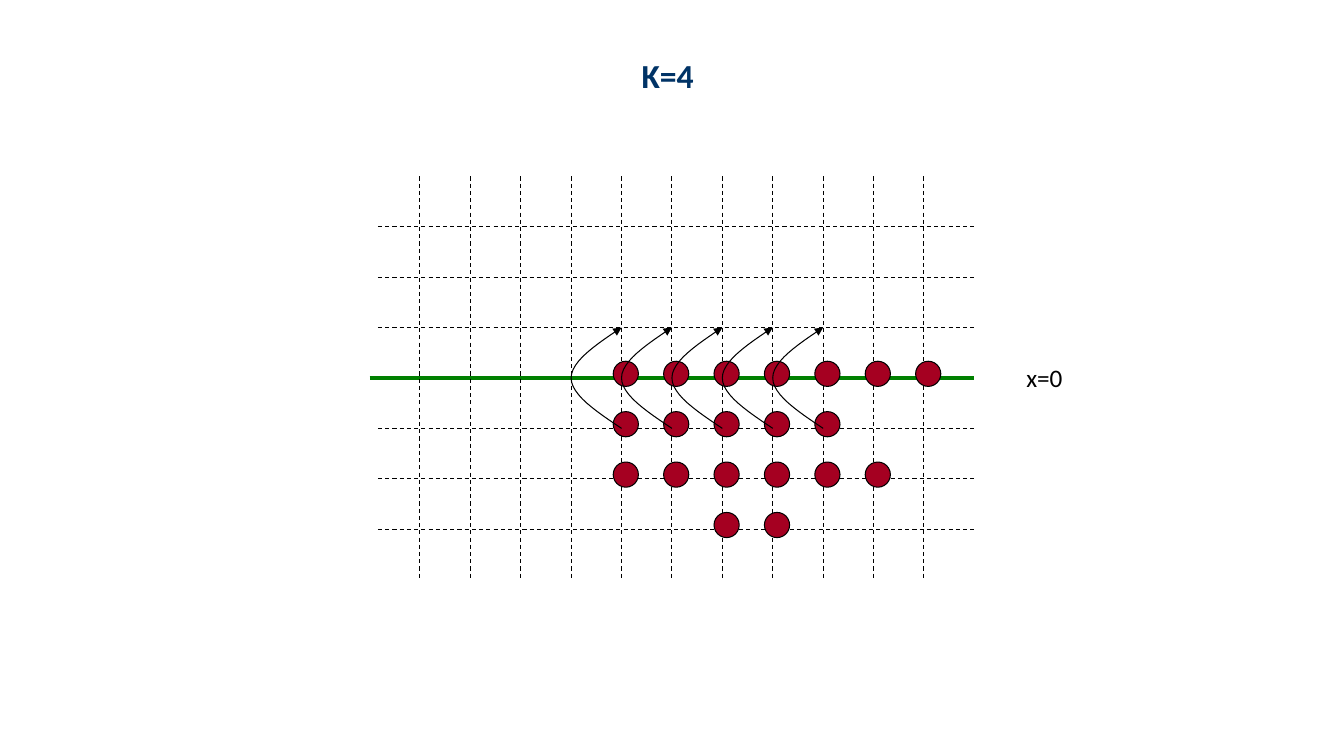
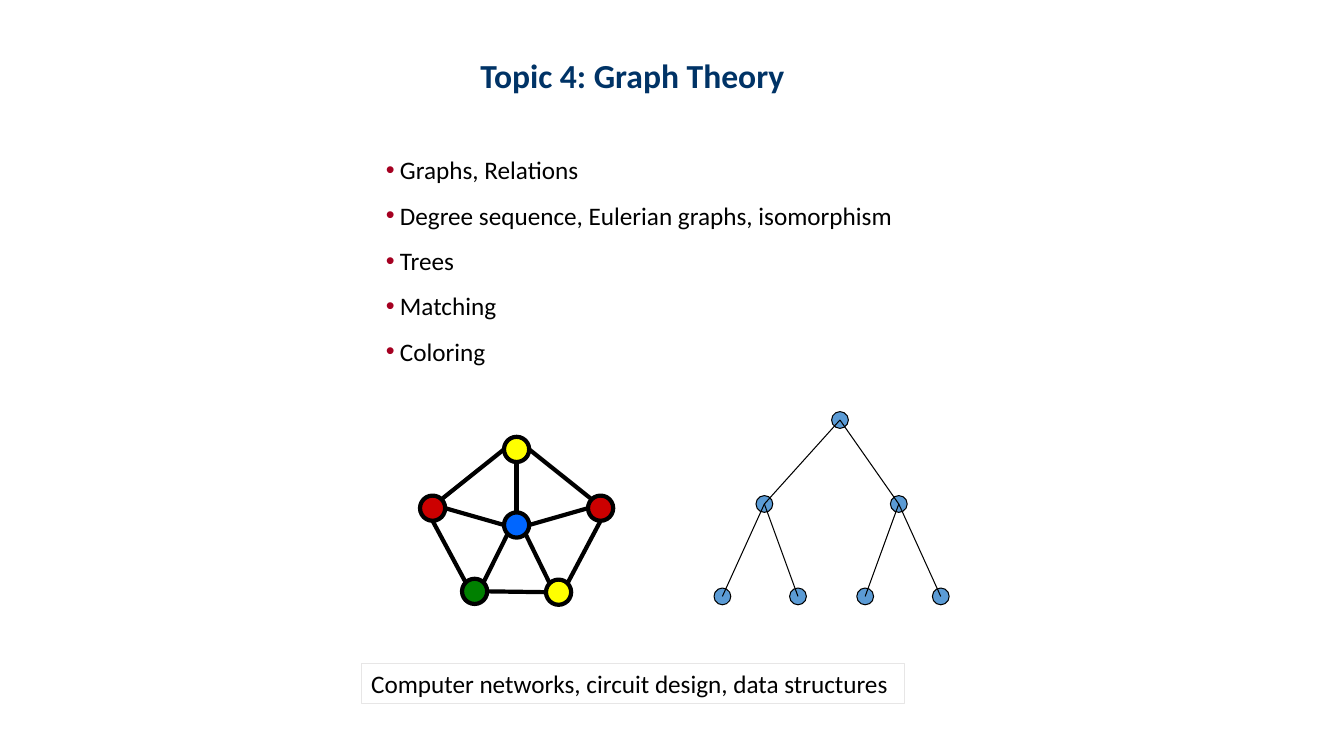
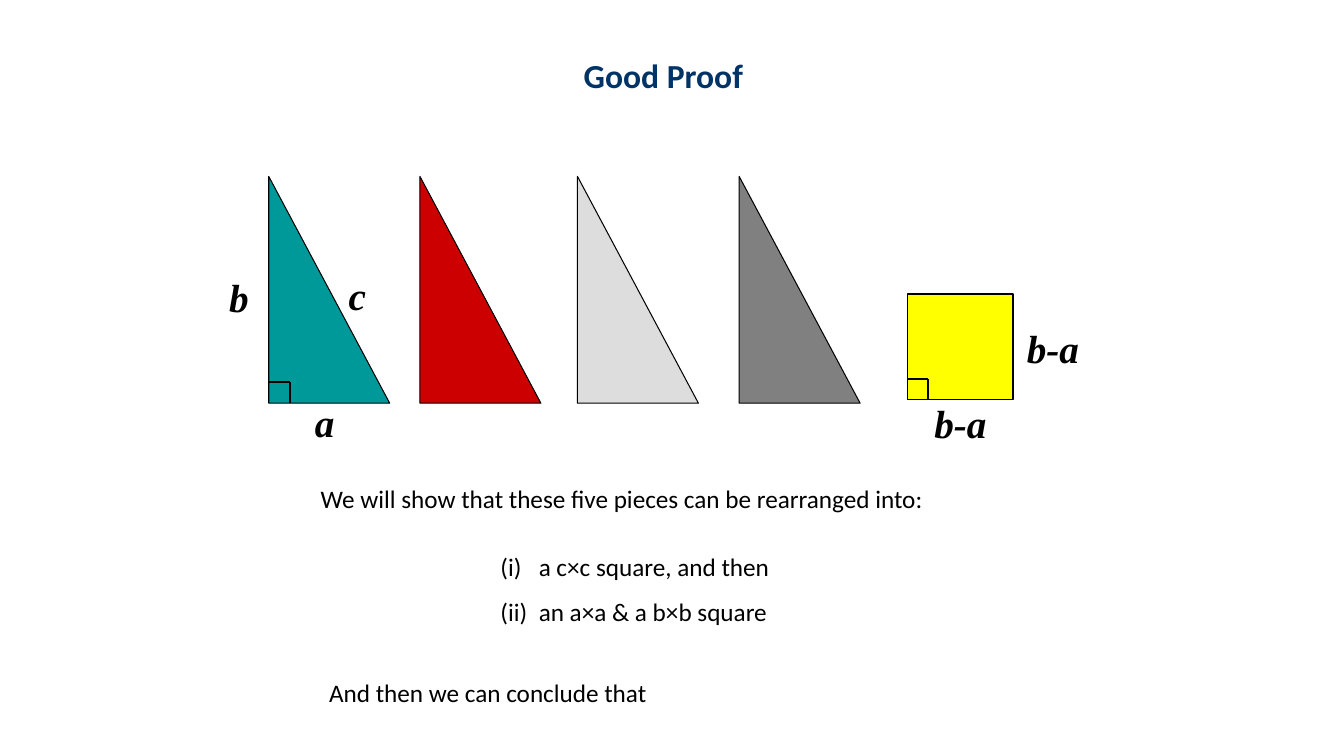
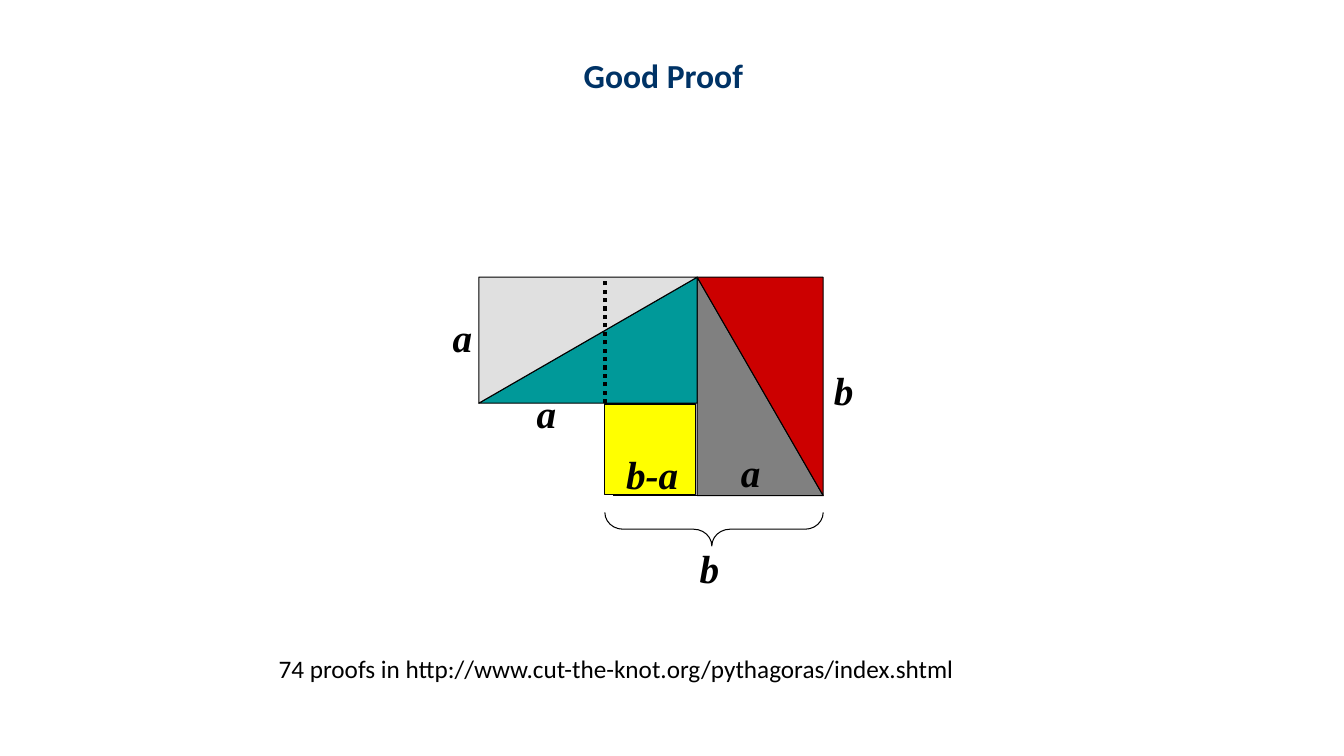
from itertools import pairwise, product
from math import cos, pi, sin

from lxml.etree import SubElement
from pptx import Presentation
from pptx.dml.color import RGBColor
from pptx.enum.dml import MSO_LINE_DASH_STYLE as DASH
from pptx.enum.shapes import MSO_CONNECTOR as CONN, MSO_SHAPE as SHAPE
from pptx.enum.text import MSO_AUTO_SIZE as AUTO, PP_ALIGN as ALIGN
from pptx.oxml.ns import qn
from pptx.util import Inches, Pt

COLS, ROWS, CELL = 160, 90, 1 / 12

BLACK = RGBColor(0x00, 0x00, 0x00)
NAVY = RGBColor(0x00, 0x33, 0x66)
CRIMSON = RGBColor(0xA5, 0x00, 0x21)
GREEN = RGBColor(0x00, 0x80, 0x00)
RED = RGBColor(0xCC, 0x00, 0x00)
YELLOW = RGBColor(0xFF, 0xFF, 0x00)
BLUE = RGBColor(0x00, 0x66, 0xFF)
SKY = RGBColor(0x5B, 0x9B, 0xD5)
TEAL = RGBColor(0x00, 0x99, 0x99)
SILVER = RGBColor(0xDD, 0xDD, 0xDD)
GRAY = RGBColor(0x80, 0x80, 0x80)
PALE = RGBColor(0xE7, 0xE6, 0xE6)

TITLE = {"name": "Calibri", "size": Pt(24), "bold": True}
BODY = {"name": "Calibri", "size": Pt(18)}
SYMBOL = {"name": "Times New Roman", "size": Pt(28), "bold": True, "italic": True}


def grid(n):
    """Turn a number of grid cells into a length."""
    return Inches(n * CELL)


def text(s, x, y, w, h, lines, style=BODY, color=BLACK, align=ALIGN.LEFT):
    """Add a text box with one paragraph per line."""
    box = s.shapes.add_textbox(*map(grid, (x, y, w, h)))
    tf = box.text_frame
    tf.word_wrap, tf.auto_size = False, AUTO.SHAPE_TO_FIT_TEXT
    for i, line in enumerate(lines):
        p = tf.paragraphs[0] if i == 0 else tf.add_paragraph()
        p.alignment = align
        r = p.add_run()
        r.text = line
        for key, value in style.items():
            setattr(r.font, key, value)
        r.font.color.rgb = color
    return box


def title(s, x, w, words):
    """Add the slide title."""
    text(s, x, 6, w, 6, [words], TITLE, NAVY)


def symbol(s, x, y, letter):
    """Add a centred italic letter or formula."""
    text(s, x, y, 3 + 1.9 * len(letter), 6.8, [letter], SYMBOL, align=ALIGN.CENTER)


def line(s, x1, y1, x2, y2, width=0.75, color=BLACK, dash=None):
    """Add a straight line without shadow."""
    c = s.shapes.add_connector(CONN.STRAIGHT, *map(grid, (x1, y1, x2, y2)))
    c.line.color.rgb, c.line.width, c.line.dash_style = color, Pt(width), dash
    SubElement(c.element.spPr, qn("a:effectLst"))


def outline(sp, fill=None, width=0.75):
    """Give a shape a black outline and a fill or none."""
    sp.shadow.inherit = False
    sp.line.color.rgb, sp.line.width = BLACK, Pt(width)
    if fill is None:
        sp.fill.background()
    else:
        sp.fill.solid()
        sp.fill.fore_color.rgb = fill


def shape(s, kind, x, y, w, h, fill=None, width=0.75, turn=0):
    """Add an outlined preset shape."""
    sp = s.shapes.add_shape(kind, *map(grid, (x, y, w, h)))
    outline(sp, fill, width)
    sp.rotation = turn
    return sp


def bezier(p0, p1, p2, p3, steps=12):
    """List the points of a cubic curve."""
    for t in (i / steps for i in range(steps + 1)):
        k = ((1 - t) ** 3, 3 * t * (1 - t) ** 2, 3 * t * t * (1 - t), t ** 3)
        yield tuple(sum(f * p[axis] for f, p in zip(k, (p0, p1, p2, p3)))
                    for axis in (0, 1))


def jump(s, x, y, step):
    """Add a curved arrow that leaps two rows up to end at x, y."""
    mid = y + step
    low = bezier((x, mid + 6), (x - 3, mid + 4), (x - 6, mid + 2), (x - 6, mid))
    high = bezier((x - 6, mid), (x - 6, mid - 2), (x - 3, mid - 4), (x, y))
    start, *rest = [tuple(map(grid, pt)) for pt in (*low, *list(high)[1:])]
    builder = s.shapes.build_freeform(*start)
    builder.add_line_segments(rest, close=False)
    sp = builder.convert_to_shape()
    outline(sp)
    SubElement(sp.element.spPr.find(qn("a:ln")), qn("a:tailEnd"), type="triangle")


def board(s, x, y, step):
    """Draw the dashed board with its axis, pegs and jumps."""
    right = x + 12 * step
    line(s, x, y + 4 * step, right, y + 4 * step, 3, GREEN)
    for row in (1, 2, 3, 5, 6, 7):
        line(s, x + 1, y + row * step, right, y + row * step, dash=DASH.DASH)
    for col in range(1, 12):
        line(s, x + col * step, y, x + col * step, y + 8 * step, dash=DASH.DASH)
    for row, first, last in ((4, 5, 11), (5, 5, 9), (6, 5, 10), (7, 7, 8)):
        for col in range(first, last + 1):
            shape(s, SHAPE.OVAL, x + col * step - 1, y + row * step - 2, 3, 3, CRIMSON)
    for col in range(5, 10):
        jump(s, x + col * step, y + 3 * step, step)


def bullets(s, x, y, w, h, lines):
    """Add a widely spaced bullet list."""
    for p in text(s, x, y, w, h, lines).text_frame.paragraphs:
        pPr = p._p.get_or_add_pPr()
        pPr.set("marL", str(Inches(0.14)))
        pPr.set("indent", str(-Inches(0.14)))
        SubElement(SubElement(pPr, qn("a:buClr")), qn("a:srgbClr"), val=str(CRIMSON))
        SubElement(pPr, qn("a:buFont"), typeface="Arial")
        SubElement(pPr, qn("a:buChar"), char="•")
        p.line_spacing = 1.5


def colored_graph(s, x, y):
    """Draw the coloured wheel, its edges joined at eighths of each node."""
    d = 3
    nodes = {"hub": (10, 9, BLUE), "top": (10, 0, YELLOW),
             "west": (0, 7, RED), "east": (20, 7, RED),
             "sw": (5, 16.9, GREEN), "se": (15, 17, YELLOW)}
    edges = (("sw", 6, "se", 2), ("top", 6, "east", 1), ("east", 4, "se", 7),
             ("top", 2, "west", 7), ("west", 4, "sw", 1), ("top", 4, "hub", 0),
             ("hub", 6, "east", 2), ("hub", 5, "se", 1), ("hub", 3, "sw", 7),
             ("hub", 2, "west", 6))

    def site(name, eighth):
        """Find a point on the rim, counted anticlockwise from the top."""
        left, top, _ = nodes[name]
        angle = eighth * pi / 4
        return x + left + d / 2 * (1 - sin(angle)), y + top + d / 2 * (1 - cos(angle))

    for left, top, fill in nodes.values():
        shape(s, SHAPE.OVAL, x + left, y + top, d, d, fill, 3)
    for a, i, b, j in edges:
        line(s, *site(a, i), *site(b, j), 3)


def tree(s, x, y):
    """Draw the binary tree, each node linked to its parent."""
    nodes = [(x + dx, y + dy) for dx, dy in
             ((15, 1), (6, 11), (22, 11), (1, 22), (10, 22), (18, 22), (27, 22))]
    for cx, cy in nodes:
        shape(s, SHAPE.OVAL, cx - 1, cy - 1, 2, 2, SKY)
    for i, node in enumerate(nodes[1:]):
        line(s, *nodes[i // 2], *node)


def right_angle(s, x, bottom, size=2.5):
    """Mark a right angle in a lower left corner."""
    corner = ((x, bottom - size), (x + size, bottom - size), (x + size, bottom))
    for a, b in pairwise(corner):
        line(s, *a, *b, 1.5)


def pieces(s, x, y, a, b):
    """Lay out the four triangles and the small square with their sides."""
    for dx, fill in ((0, TEAL), (18, RED), (36.75, SILVER), (56, GRAY)):
        shape(s, SHAPE.RIGHT_TRIANGLE, x + dx, y, a, b, fill)
    side = b - a
    shape(s, SHAPE.RECTANGLE, x + 76, y + 14, side, side, YELLOW)
    right_angle(s, x, y + b)
    right_angle(s, x + 76, y + 14 + side)
    for dx, dy, letter in ((8.1, 10.7, "c"), (-6, 11, "b"), (4.2, 25.8, "a"),
                           (78, 26, "b-a"), (89, 17, "b-a")):
        symbol(s, x + dx, y + dy, letter)


def steps(s, x, y, w, h, lines):
    """Add the numbered steps, set off by a tab."""
    paragraphs = text(s, x, y, w, h, lines).text_frame.paragraphs
    for p in paragraphs:
        tabs = SubElement(p._p.get_or_add_pPr(), qn("a:tabLst"))
        SubElement(tabs, qn("a:tab"), pos=str(Inches(0.38)), algn="l")
    paragraphs[1].line_spacing = 1.5


def two_squares(s, x, y, a, b):
    """Assemble the five pieces into an a square beside a b square."""
    mid, side, half = x + b, b - a, (b - a) / 2
    for left, top, fill, turn in ((mid, y, GRAY, 0), (mid, y, RED, 180),
                                  (x + half, y - half, TEAL, 270),
                                  (x + half, y - half, SILVER, 90)):
        sp = shape(s, SHAPE.RIGHT_TRIANGLE, left, top, a, b, fill, turn=turn)
    clr = sp.element.spPr.find(qn("a:solidFill"))[0]
    SubElement(clr, qn("a:alpha"), val="90000")
    line(s, x + a + 1, y + b, mid, y + b)
    line(s, x + a, y + a, x + a, y, 3, dash=DASH.ROUND_DOT)
    shape(s, SHAPE.RECTANGLE, x + a, y + a + 0.1, side - 0.2, side - 0.2, YELLOW)
    brace = shape(s, SHAPE.RIGHT_BRACE, mid, y + 17, 4, b, turn=90)
    brace.adjustments[0], brace.adjustments[1] = 0.54, 0.51
    for dx, dy, letter in ((41, 10, "b"), (-4.4, 3.7, "a"), (5.6, 12.7, "a"),
                           (29.9, 19.8, "a"), (16.3, 20, "b-a"), (25, 31.2, "b")):
        symbol(s, x + dx, y + dy, letter)


def board_slide(s):
    """Build the peg board slide."""
    title(s, 75.2, 8.6, "K=4")
    board(s, 44, 21, 6)
    text(s, 121, 42.6, 6.7, 4.8, ["x=0"])


def graph_slide(s):
    """Build the graph theory slide."""
    title(s, 56, 38.9, "Topic 4: Graph Theory")
    bullets(s, 44.75, 16, 64, 28.4, [
        "Graphs, Relations", "Degree sequence, Eulerian graphs, isomorphism",
        "Trees", "Matching", "Coloring"])
    uses = text(s, 43, 79, 64.7, 4.8,
                ["Computer networks, circuit design, data structures"])
    uses.line.color.rgb, uses.line.width = PALE, Pt(0.75)
    colored_graph(s, 50, 52)
    tree(s, 85, 49)


def pieces_slide(s):
    """Build the slide that introduces the five pieces."""
    title(s, 68.3, 21.5, "Good Proof")
    pieces(s, 32, 21, 14.4, 27)
    text(s, 37, 57, 75, 4.8,
         ["We will show that these five pieces can be rearranged into:"])
    steps(s, 58.4, 65, 43.1, 10.2,
          ["(i)\ta c×c square, and then", "(ii)\tan a×a & a b×b square"])
    text(s, 38, 80, 41.4, 4.8, ["And then we can conclude that"])


def squares_slide(s):
    """Build the slide with the rearranged pieces."""
    title(s, 68.3, 21.5, "Good Proof")
    two_squares(s, 57, 33, 15, 26)
    text(s, 32, 77.2, 83.8, 4.8,
         ["74 proofs in http://www.cut-the-knot.org/pythagoras/index.shtml"])


def main():
    """Build and save the presentation."""
    prs = Presentation()
    prs.slide_width, prs.slide_height = grid(COLS), grid(ROWS)
    for build in (board_slide, graph_slide, pieces_slide, squares_slide):
        build(prs.slides.add_slide(prs.slide_layouts[6]))
    prs.save("out.pptx")


if __name__ == "__main__":
    main()
